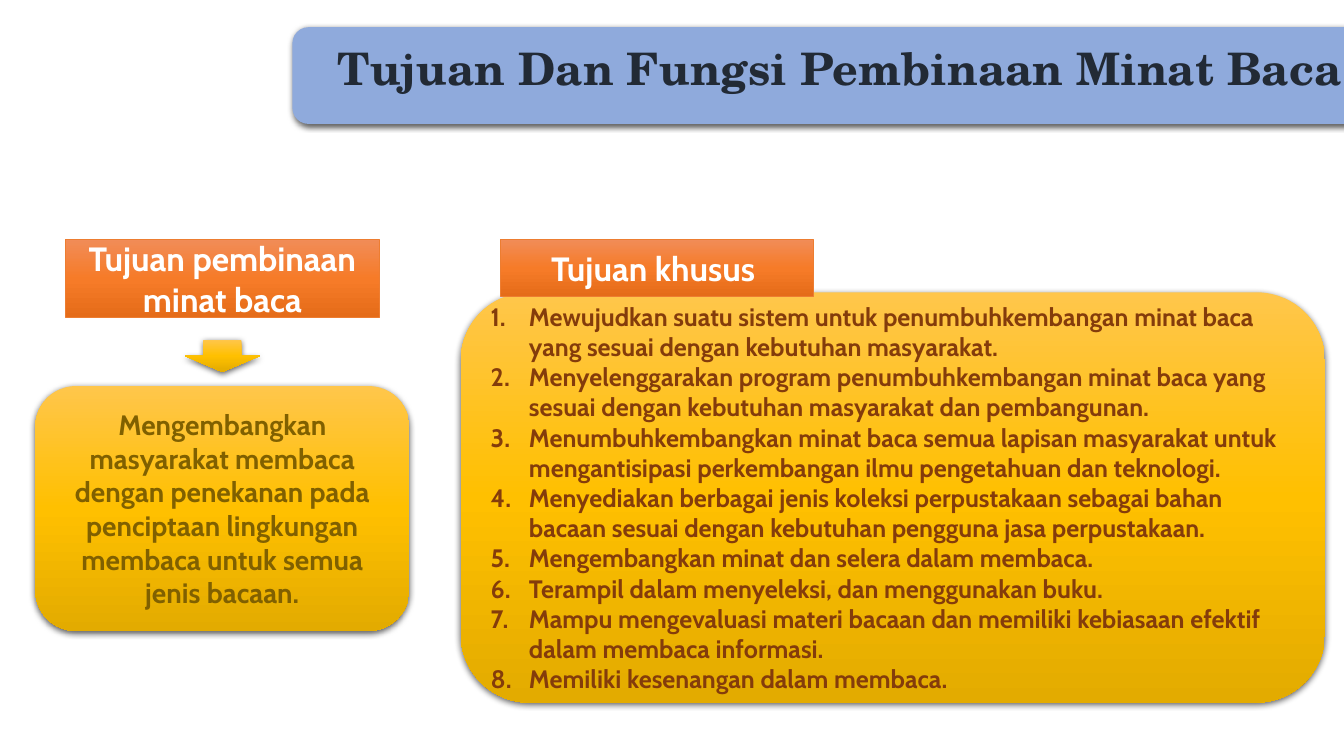
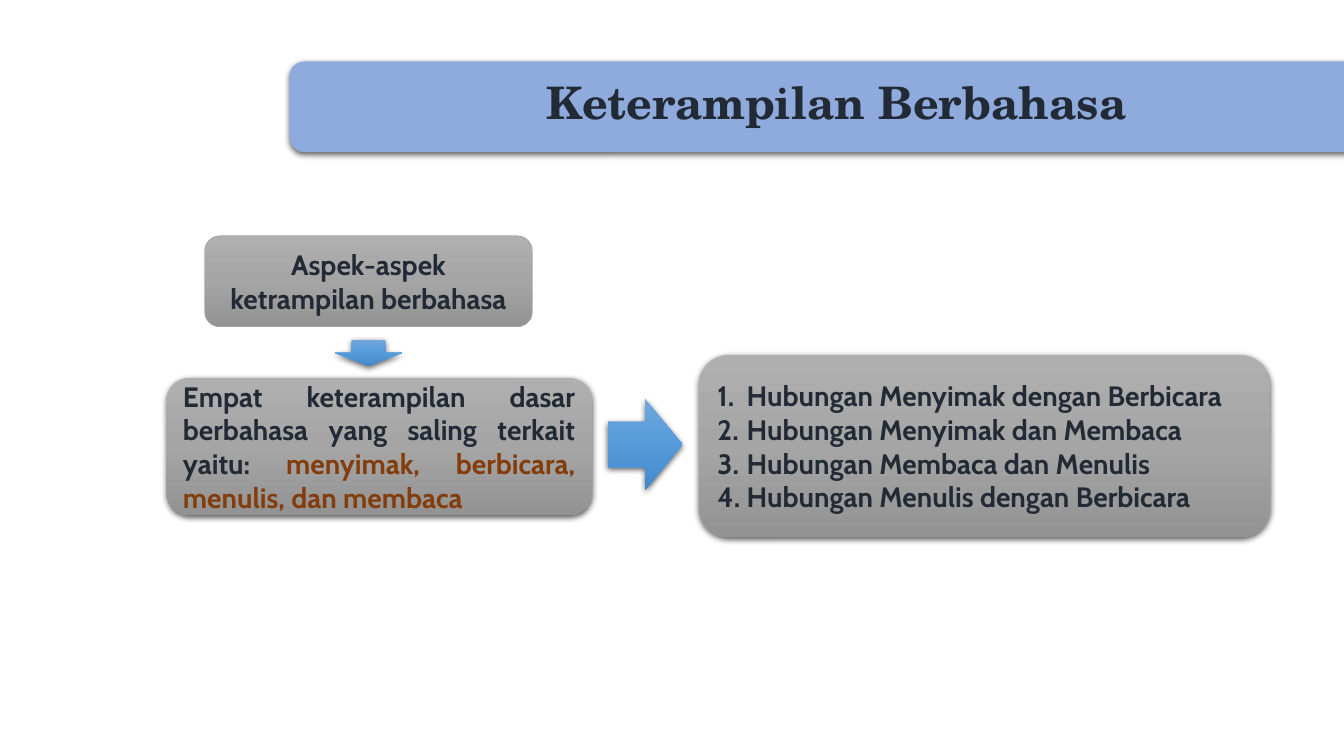
import copy

import pptx
import pptx.dml.color
import pptx.enum.shapes
import pptx.enum.text
import pptx.oxml
import pptx.oxml.ns
import pptx.util

Inches = pptx.util.Inches
Shape = pptx.enum.shapes.MSO_SHAPE
Align = pptx.enum.text.PP_ALIGN
Anchor = pptx.enum.text.MSO_ANCHOR

BAND, INK, BROWN, OLIVE, WHITE = "8FAADC", "222A35", "843C0B", "806000", "FFFFFF"
GOLD = ("FFC64B", "FFC000", "E3AB00")
ORANGE = ("F18C57", "F67B28", "E56C19")
GREY = ("AFAFAF", "A5A5A5", "939393")
BLUE = ("71A6DB", "559BDB", "448ACA")
ORANGE_EDGE, GREY_EDGE = "ED7D31", "A5A5A5"
BODY_FONT, TITLE_FONT = "Cabin", "TeX Gyre Schola"

SHADOW = (
    f'<a:outerShdw {pptx.oxml.ns.nsdecls("a")} blurRad="57150" dist="19050" '
    'dir="5400000" algn="ctr" rotWithShape="0">'
    '<a:srgbClr val="000000"><a:alpha val="63000"/></a:srgbClr></a:outerShdw>'
)

SPECIFIC_GOALS = [
    "Mewujudkan suatu sistem untuk penumbuhkembangan minat baca yang sesuai dengan kebutuhan masyarakat.",
    "Menyelenggarakan program penumbuhkembangan minat baca yang sesuai dengan kebutuhan masyarakat dan pembangunan.",
    "Menumbuhkembangkan minat baca semua lapisan masyarakat untuk mengantisipasi perkembangan ilmu pengetahuan dan teknologi.",
    "Menyediakan berbagai jenis koleksi perpustakaan sebagai bahan bacaan sesuai dengan kebutuhan pengguna jasa perpustakaan.",
    "Mengembangkan minat dan selera dalam membaca.",
    "Terampil dalam menyeleksi, dan menggunakan buku.",
    "Mampu mengevaluasi materi bacaan dan memiliki kebiasaan efektif dalam membaca informasi.",
    "Memiliki kesenangan dalam membaca.",
]
SKILL_LINKS = [
    "Hubungan Menyimak dengan Berbicara",
    "Hubungan Menyimak dan Membaca",
    "Hubungan Membaca dan Menulis",
    "Hubungan Menulis dengan Berbicara",
]


def rgb(value):
    return pptx.dml.color.RGBColor.from_string(value)


def apply(target, values):
    for name, value in values.items():
        setattr(target, name, value)


class Deck:
    def __init__(self):
        self.file = pptx.Presentation()
        apply(self.file, {"slide_width": Inches(13.33), "slide_height": Inches(7.5)})
        self.page = None

    def add_page(self, title, left, top, height):
        self.page = self.file.slides.add_slide(self.file.slide_layouts[6])
        band = self.block(Shape.ROUNDED_RECTANGLE, (left, top, 10.86, height), BAND)
        self.fill_text(band, [[(title, INK)]], 32, font=TITLE_FONT, anchor=Anchor.TOP)
        band.text_frame.paragraphs[0].line_spacing = 1.07

    def block(self, kind, area, fill, edge=None):
        """Add a filled shape: outlined when it has an edge, shadowed otherwise."""
        box = self.page.shapes.add_shape(kind, *map(Inches, area))
        if isinstance(fill, str):
            box.fill.solid()
            box.fill.fore_color.rgb = rgb(fill)
        else:
            self.shade(box, fill)
        box.shadow.inherit = False
        if edge:
            box.line.color.rgb = rgb(edge)
            box.line.width = pptx.util.Pt(0.5)
        else:
            box.line.fill.background()
            effects = box._element.spPr.find(pptx.oxml.ns.qn("a:effectLst"))
            effects.append(pptx.oxml.parse_xml(SHADOW))
        return box

    def shade(self, box, colours):
        """Fill with a top-down gradient of three evenly spaced colours."""
        box.fill.gradient()
        box.fill.gradient_angle = 270
        stop_list = box._element.xpath(".//a:gsLst")[0]
        stop_list.append(copy.deepcopy(stop_list[0]))
        for index, (stop, colour) in enumerate(zip(box.fill.gradient_stops, colours)):
            stop.color.rgb = rgb(colour)
            stop.position = index / 2

    def fill_text(self, box, paragraphs, size, align=Align.CENTER, font=BODY_FONT,
                  anchor=Anchor.MIDDLE, indent=None):
        """Set paragraphs of (text, colour) spans, numbered when indent is given."""
        frame = box.text_frame
        apply(frame, {"word_wrap": True, "vertical_anchor": anchor})
        for index, spans in enumerate(paragraphs):
            para = frame.add_paragraph() if index else frame.paragraphs[0]
            para.alignment = align
            if indent:
                self.number(para, indent)
            for text, colour in spans:
                span = para.add_run()
                span.text = text
                apply(span.font, {"name": font, "size": pptx.util.Pt(size), "bold": True})
                span.font.color.rgb = rgb(colour)

    def number(self, para, indent):
        properties = para._p.get_or_add_pPr()
        properties.set("marL", str(Inches(indent)))
        properties.set("indent", str(-Inches(indent)))
        properties.append(pptx.oxml.parse_xml(
            f'<a:buAutoNum {pptx.oxml.ns.nsdecls("a")} type="arabicPeriod"/>'))

    def card(self, area, fill, paragraphs, size=20, edge=None, **style):
        box = self.block(Shape.ROUNDED_RECTANGLE, area, fill, edge)
        self.fill_text(box, paragraphs, size, **style)

    def tag(self, left, height, text):
        box = self.block(Shape.RECTANGLE, (left, 2.38, 3.11, height), ORANGE, ORANGE_EDGE)
        self.fill_text(box, [[(text, WHITE)]], 24)


def add_goals(deck):
    deck.add_page("Tujuan Dan Fungsi Pembinaan Minat Baca", 2.9, 0.27, 0.96)
    deck.card((0.35, 3.83, 3.71, 2.43), GOLD, [[(
        "Mengembangkan masyarakat membaca dengan penekanan pada penciptaan "
        "lingkungan membaca untuk semua jenis bacaan.", OLIVE)]])
    deck.tag(0.65, 0.77, "Tujuan pembinaan minat baca")
    deck.block(Shape.DOWN_ARROW, (1.83, 3.37, 0.75, 0.32), GOLD)
    deck.card((4.57, 2.9, 8.57, 4.07), GOLD, [[(goal, BROWN)] for goal in SPECIFIC_GOALS],
              size=18, align=Align.LEFT, indent=0.38)
    deck.tag(4.96, 0.56, "Tujuan khusus ")


def add_skills(deck):
    deck.add_page("Keterampilan Berbahasa", 2.87, 0.61, 0.9)
    deck.card((2.03, 2.34, 3.25, 0.9), GREY,
              [[("Aspek-aspek ketrampilan berbahasa", INK)]], edge=GREY_EDGE)
    deck.block(Shape.DOWN_ARROW, (3.32, 3.37, 0.67, 0.26), BLUE)
    deck.card((1.65, 3.75, 4.22, 1.36), GREY, [[
        ("Empat keterampilan dasar berbahasa yang saling terkait yaitu: ", INK),
        ("menyimak, berbicara, menulis, dan membaca", BROWN),
    ]], align=Align.JUSTIFY)
    deck.block(Shape.RIGHT_ARROW, (6.03, 3.96, 0.74, 0.9), BLUE)
    deck.card((6.93, 3.52, 5.67, 1.81), GREY, [[(link, INK)] for link in SKILL_LINKS],
              align=Align.JUSTIFY, indent=0.29)


def main():
    deck = Deck()
    add_goals(deck)
    add_skills(deck)
    deck.file.save("out.pptx")


if __name__ == "__main__":
    main()
